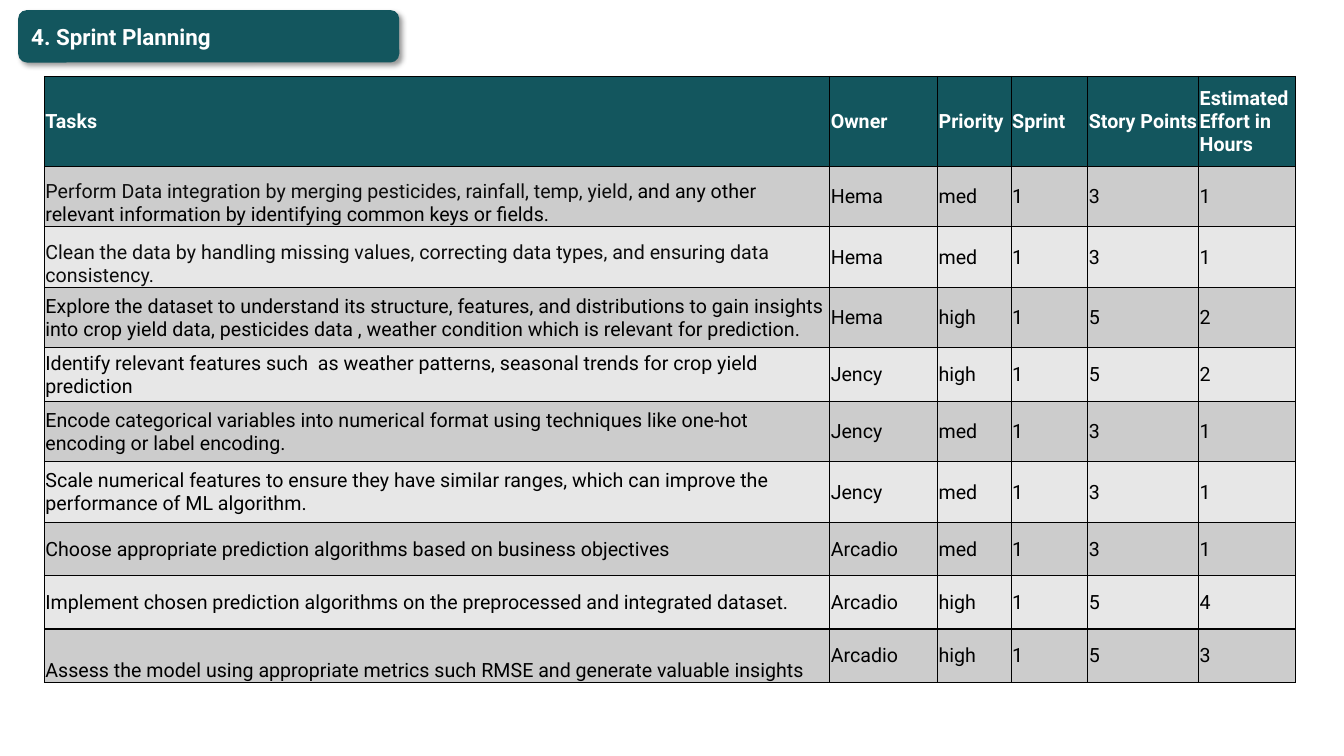
from dataclasses import dataclass

from lxml.etree import SubElement
from pptx import Presentation
from pptx.dml.color import RGBColor
from pptx.enum.shapes import MSO_SHAPE as Shape
from pptx.enum.text import MSO_ANCHOR as Anchor, MSO_AUTO_SIZE as AutoSize, PP_ALIGN as Align
from pptx.oxml.ns import qn
from pptx.util import Inches, Pt

FONT = "Roboto"
COLORS = {
    "teal": "13565E",
    "white": "FFFFFF",
    "black": "000000",
    "ink": "0D0D0D",
    "band_dark": "CCCCCC",
    "band_light": "E7E7E7",
}
HEADERS = ["Tasks", "Owner", "Priority", "Sprint", "Story Points", "Estimated Effort in Hours"]
COLUMN_WIDTHS = [7.79, 1.07, 0.73, 0.76, 1.1, 0.96]
HEADER_HEIGHT = 0.89
TITLE_BOX = [Inches(length) for length in (0.18, 0.1, 3.78, 0.52)]


@dataclass
class Span:
    text: str
    color: str = "black"
    bold: bool = False


@dataclass
class Task:
    spans: list[Span]
    owner: str
    priority: str
    points: int
    hours: int
    height: float = 0.6
    anchor: Anchor = Anchor.MIDDLE
    sprint: int = 1


TASKS = [
    Task([Span("Perform Data integration by merging pesticides, rainfall, temp, yield", "ink"),
          Span(", and any other relevant information by identifying common keys or fields.")],
         "Hema", "med", 3, 1, anchor=Anchor.BOTTOM),
    Task([Span("Clean the data by handling missing values, correcting data types, "
               "and ensuring data consistency.", "ink")],
         "Hema", "med", 3, 1, anchor=Anchor.BOTTOM),
    Task([Span("Explore the dataset to understand its structure, features, and distributions "
               "to gain insights into crop yield data, pesticides data , weather condition "
               "which is relevant for prediction.")],
         "Hema", "high", 5, 2),
    Task([Span("Identify relevant features such  as weather patterns, seasonal trends "
               "for crop yield prediction")],
         "Jency", "high", 5, 2, height=0.53),
    Task([Span("Encode categorical variables into numerical format using techniques "
               "like one-hot encoding or label encoding.")],
         "Jency", "med", 3, 1),
    Task([Span("Scale numerical features to ensure they have similar ranges, "
               "which can improve the performance of ML algorithm.")],
         "Jency", "med", 3, 1),
    Task([Span("Choose appropriate prediction algorithms based on business objectives")],
         "Arcadio", "med", 3, 1, height=0.53),
    Task([Span("Implement chosen prediction algorithms on the preprocessed and integrated dataset.")],
         "Arcadio", "high", 5, 4, height=0.53),
    Task([Span("Assess the model using appropriate metrics such RMSE "
               "and generate valuable insights")],
         "Arcadio", "high", 5, 3, height=0.53, anchor=Anchor.BOTTOM),
]


def rgb(name: str) -> RGBColor:
    return RGBColor.from_string(COLORS[name])


def add_spans(para, spans: list[Span], size: float) -> None:
    para.alignment = Align.LEFT
    for span in spans:
        run = para.add_run()
        run.text = span.text
        run.font.name = FONT
        run.font.size = Pt(size)
        run.font.bold = span.bold
        run.font.color.rgb = rgb(span.color)


def add_shadow(shape) -> None:
    """Give the shape a soft shadow towards its lower right."""
    shape.shadow.inherit = False
    effects = shape.element.spPr.find(qn("a:effectLst"))
    shadow = SubElement(effects, qn("a:outerShdw"), blurRad=str(Pt(4)), dist=str(Pt(3)),
                        dir=str(45 * 60000), algn="tl", rotWithShape="0")
    color = SubElement(shadow, qn("a:srgbClr"), val=COLORS["black"])
    SubElement(color, qn("a:alpha"), val="40000")


def add_title(slide) -> None:
    """Place the title placeholder over a rounded banner."""
    banner = slide.shapes.add_shape(Shape.ROUNDED_RECTANGLE, *TITLE_BOX)
    banner.fill.solid()
    banner.fill.fore_color.rgb = rgb("teal")
    banner.line.fill.background()
    add_shadow(banner)

    title = slide.shapes.title
    title.left, title.top, title.width, title.height = TITLE_BOX
    banner.element.addnext(title.element)
    frame = title.text_frame
    frame.auto_size = AutoSize.NONE
    frame.word_wrap = True
    frame.vertical_anchor = Anchor.MIDDLE
    frame.margin_left = Inches(0.13)
    add_spans(frame.paragraphs[0], [Span("4. Sprint Planning", "white", True)], 16)


def add_borders(cell) -> None:
    properties = cell._tc.get_or_add_tcPr()
    for side in ("lnL", "lnR", "lnT", "lnB"):
        line = SubElement(properties, qn(f"a:{side}"), w=str(Pt(1)))
        fill = SubElement(line, qn("a:solidFill"))
        SubElement(fill, qn("a:srgbClr"), val=COLORS["black"])


def fill_cell(cell, spans: list[Span], fill: str, anchor: Anchor = Anchor.MIDDLE) -> None:
    cell.margin_left = cell.margin_right = cell.margin_top = Inches(0.01)
    cell.margin_bottom = 0
    cell.vertical_anchor = anchor
    add_borders(cell)
    cell.fill.solid()
    cell.fill.fore_color.rgb = rgb(fill)
    add_spans(cell.text_frame.paragraphs[0], spans, 14)


def add_task_table(slide) -> None:
    heights = [HEADER_HEIGHT] + [task.height for task in TASKS]
    table = slide.shapes.add_table(
        len(heights), len(HEADERS), Inches(0.44), Inches(0.76),
        Inches(sum(COLUMN_WIDTHS)), Inches(sum(heights))).table
    table.first_row = table.horz_banding = False
    for column, width in zip(table.columns, COLUMN_WIDTHS):
        column.width = Inches(width)
    for row, height in zip(table.rows, heights):
        row.height = Inches(height)

    for column, header in enumerate(HEADERS):
        fill_cell(table.cell(0, column), [Span(header, "white", True)], "teal")
    for row, task in enumerate(TASKS, start=1):
        band = "band_dark" if row % 2 else "band_light"
        fill_cell(table.cell(row, 0), task.spans, band, task.anchor)
        details = [task.owner, task.priority, task.sprint, task.points, task.hours]
        for column, detail in enumerate(details, start=1):
            fill_cell(table.cell(row, column), [Span(str(detail))], band)


def main() -> None:
    deck = Presentation()
    deck.slide_width, deck.slide_height = Inches(13.33), Inches(7.5)
    slide = deck.slides.add_slide(deck.slide_layouts.get_by_name("Title Only"))
    add_task_table(slide)
    add_title(slide)
    deck.save("out.pptx")


if __name__ == "__main__":
    main()
